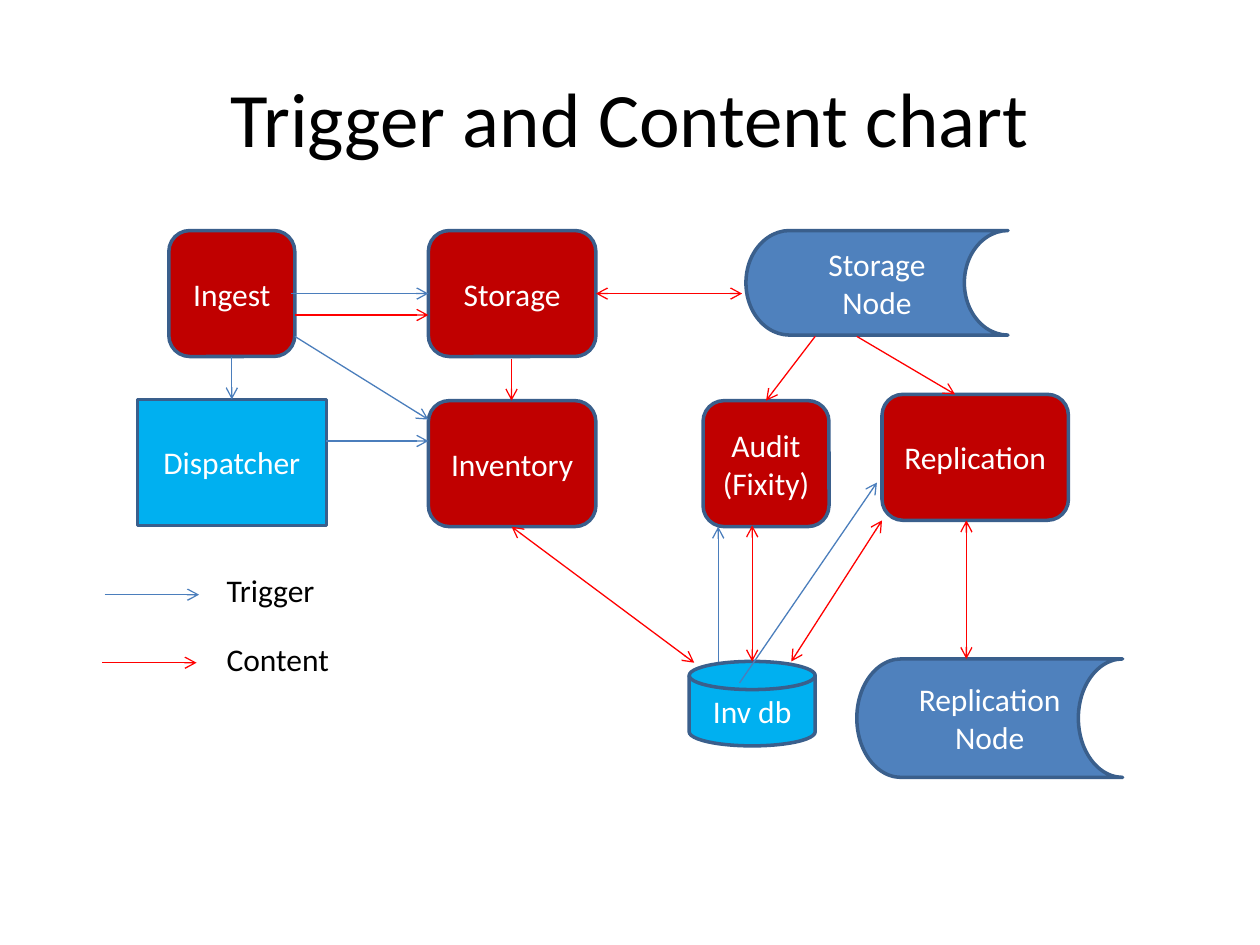
from dataclasses import dataclass

from lxml.etree import SubElement
from pptx import Presentation
from pptx.dml.color import RGBColor
from pptx.enum.shapes import MSO_CONNECTOR, MSO_SHAPE
from pptx.enum.text import MSO_ANCHOR, PP_ALIGN
from pptx.oxml.ns import qn
from pptx.util import Inches, Pt


@dataclass(frozen=True)
class Theme:
    """Hold the colours, font and sizes of the slide."""
    font: str = "Calibri"
    title_size: int = 44
    body_size: int = 18
    outline_width: float = 2
    arrow_width: float = 0.75
    black: str = "000000"
    white: str = "FFFFFF"
    service: str = "C00000"
    store: str = "00B0F0"
    node: str = "4F81BD"
    outline: str = "3A5F8C"
    trigger: str = "4B7EBC"
    content: str = "FF0000"


THEME = Theme()

SHAPES = [
    ("Ingest", MSO_SHAPE.ROUNDED_RECTANGLE, THEME.service, (1.34, 1.83, 1, 1)),
    ("Storage", MSO_SHAPE.ROUNDED_RECTANGLE, THEME.service, (3.4, 1.83, 1.33, 1)),
    ("Dispatcher", MSO_SHAPE.RECTANGLE, THEME.store, (1.09, 3.17, 1.5, 1)),
    ("Inventory", MSO_SHAPE.ROUNDED_RECTANGLE, THEME.service, (3.4, 3.18, 1.33, 1)),
    ("Inv db", MSO_SHAPE.FLOWCHART_MAGNETIC_DISK, THEME.store, (5.47, 5.25, 1, 0.67)),
    ("Storage Node", MSO_SHAPE.FLOWCHART_STORED_DATA, THEME.node, (5.92, 1.83, 2.08, 0.83)),
    ("Audit\n(Fixity)", MSO_SHAPE.ROUNDED_RECTANGLE, THEME.service, (5.58, 3.18, 1, 1)),
    ("Replication", MSO_SHAPE.ROUNDED_RECTANGLE, THEME.service, (7, 3.13, 1.48, 1)),
    ("Replication\nNode", MSO_SHAPE.FLOWCHART_STORED_DATA, THEME.node, (6.8, 5.23, 2.11, 0.94)),
]

TRIGGER_ARROWS = [
    (2.31, 2.33, 3.4, 2.33),
    (1.84, 2.83, 1.84, 3.17),
    (2.34, 2.67, 3.4, 3.33),
    (2.59, 3.5, 3.4, 3.5),
    (5.7, 5.25, 5.7, 4.18),
    (5.87, 5.42, 6.96, 3.83),
]

CONTENT_ARROWS = [
    (4.06, 2.85, 4.06, 3.18),
    (6.47, 2.67, 6.08, 3.18),
    (6.8, 2.67, 7.58, 3.13),
    (2.34, 2.5, 3.4, 2.5),
]

CONTENT_EXCHANGES = [
    (4.06, 4.18, 5.51, 5.26),
    (4.73, 2.33, 5.89, 2.33),
    (5.97, 4.17, 5.97, 5.25),
    (7, 4.13, 6.28, 5.25),
    (7.67, 4.13, 7.67, 5.23),
]

LEGEND = [
    ("Trigger", THEME.trigger, (0.83, 4.72, 1.58, 4.72), (1.7, 4.48, 1.16, 0.4)),
    ("Content", THEME.content, (0.81, 5.26, 1.56, 5.26), (1.7, 5.03, 1.21, 0.4)),
]


def write_text(box, text, size, color, alignment, anchor):
    """Fill a box with one styled paragraph per line of text."""
    frame = box.text_frame
    frame.word_wrap = True
    frame.vertical_anchor = anchor
    frame.text = text
    for paragraph in frame.paragraphs:
        paragraph.alignment = alignment
        paragraph.font.name = THEME.font
        paragraph.font.size = Pt(size)
        paragraph.font.color.rgb = RGBColor.from_string(color)


def add_label(page, text, bounds, size, alignment=PP_ALIGN.LEFT, anchor=MSO_ANCHOR.TOP):
    """Add plain black text."""
    box = page.shapes.add_textbox(*map(Inches, bounds))
    write_text(box, text, size, THEME.black, alignment, anchor)


def add_component(page, text, kind, fill, bounds):
    """Add an outlined shape with centred white text."""
    box = page.shapes.add_shape(kind, *map(Inches, bounds))
    box.shadow.inherit = False
    box.fill.solid()
    box.fill.fore_color.rgb = RGBColor.from_string(fill)
    box.line.color.rgb = RGBColor.from_string(THEME.outline)
    box.line.width = Pt(THEME.outline_width)
    write_text(box, text, THEME.body_size, THEME.white, PP_ALIGN.CENTER, MSO_ANCHOR.MIDDLE)


def add_arrow(page, ends, color, both_ways=False):
    """Add a thin arrow, pointing both ways if asked."""
    arrow = page.shapes.add_connector(MSO_CONNECTOR.STRAIGHT, *map(Inches, ends))
    arrow.line.color.rgb = RGBColor.from_string(color)
    arrow.line.width = Pt(THEME.arrow_width)
    properties = arrow.element.spPr
    line = properties.find(qn("a:ln"))
    for tag in ("a:headEnd", "a:tailEnd") if both_ways else ("a:tailEnd",):
        SubElement(line, qn(tag), type="arrow")
    SubElement(properties, qn("a:effectLst"))


def main():
    """Build and save the slide."""
    deck = Presentation()
    deck.slide_width, deck.slide_height = Inches(10), Inches(7.5)
    page = deck.slides.add_slide(deck.slide_layouts[6])
    add_label(page, "Trigger and Content chart", (0.5, 0.3, 9, 1.25),
              THEME.title_size, PP_ALIGN.CENTER, MSO_ANCHOR.MIDDLE)
    for component in SHAPES:
        add_component(page, *component)
    for ends in TRIGGER_ARROWS:
        add_arrow(page, ends, THEME.trigger)
    for ends in CONTENT_ARROWS:
        add_arrow(page, ends, THEME.content)
    for ends in CONTENT_EXCHANGES:
        add_arrow(page, ends, THEME.content, both_ways=True)
    for text, color, ends, bounds in LEGEND:
        add_arrow(page, ends, color)
        add_label(page, text, bounds, THEME.body_size)
    deck.save("out.pptx")


if __name__ == "__main__":
    main()
